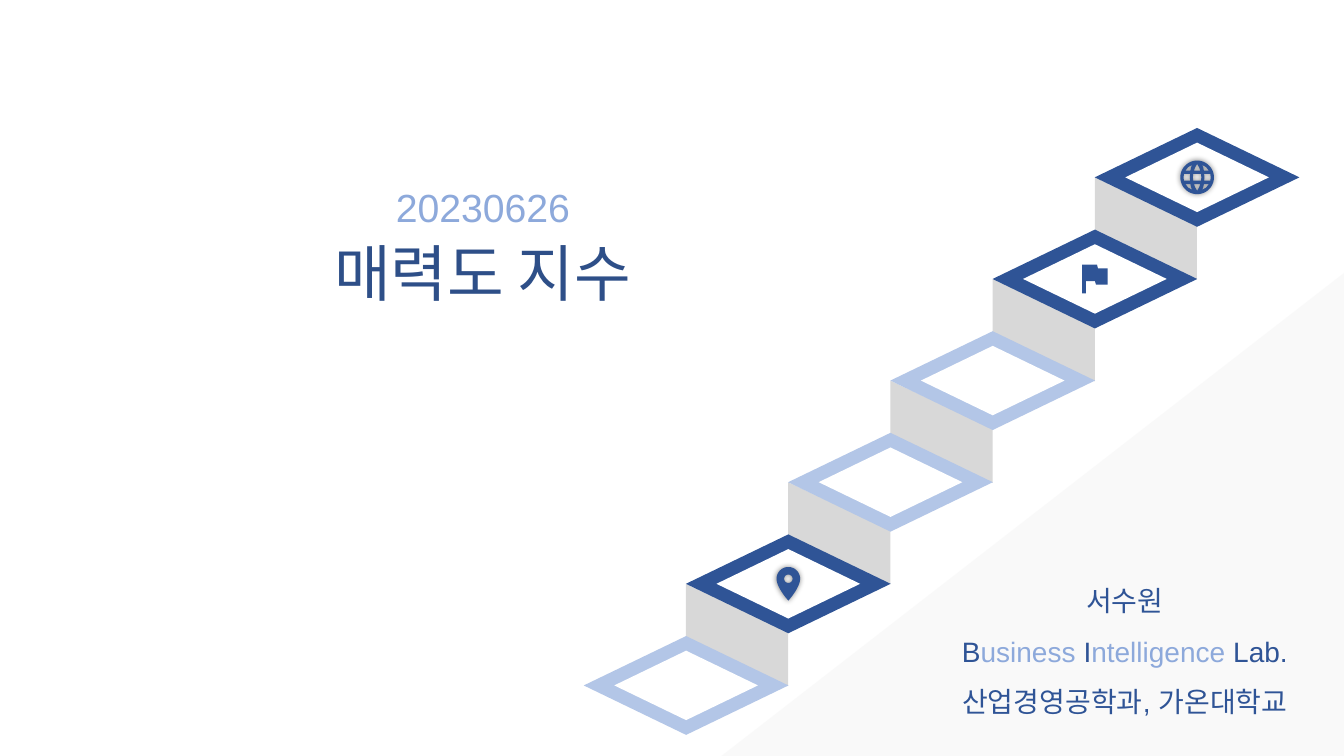
import math
from dataclasses import dataclass

from lxml import etree
from pptx import Presentation
from pptx.dml.color import RGBColor
from pptx.enum.shapes import MSO_SHAPE
from pptx.enum.text import MSO_ANCHOR, MSO_AUTO_SIZE, PP_ALIGN
from pptx.oxml.ns import qn
from pptx.util import Pt

DIAMOND = MSO_SHAPE.DIAMOND
PARALLELOGRAM = MSO_SHAPE.PARALLELOGRAM
RIGHT_TRIANGLE = MSO_SHAPE.RIGHT_TRIANGLE
MIDDLE = MSO_ANCHOR.MIDDLE
NO_AUTOFIT = MSO_AUTO_SIZE.NONE
CENTER = PP_ALIGN.CENTER


@dataclass(frozen=True)
class Theme:
    font: str = "Arial"
    dark: str = "2F5496"
    title: str = "2E4F88"
    accent: str = "8DA9DB"
    light: str = "B3C6E7"
    riser: str = "D8D8D8"
    corner: str = "F2F2F2"
    white: str = "FFFFFF"
    title_size: int = 44
    date_size: int = 28
    author_size: int = 20


THEME = Theme()


def set_attributes(target, values):
    for name, value in values.items():
        setattr(target, name, value)


def place(shape, box):
    names = ("left", "top", "width", "height")
    set_attributes(shape, dict(zip(names, map(Pt, box))))


def paint(shape, color):
    shape.shadow.inherit = False
    shape.fill.solid()
    shape.fill.fore_color.rgb = RGBColor.from_string(color)
    shape.line.fill.background()


def add_preset(slide, kind, box, color):
    shape = slide.shapes.add_shape(kind, *map(Pt, box))
    paint(shape, color)
    return shape


def add_outline(slide, box, contours):
    left, top = box[:2]
    placed = [[(Pt(left + x), Pt(top + y)) for x, y in contour] for contour in contours]
    builder = slide.shapes.build_freeform(*placed[0][0], scale=1.0)
    builder.add_line_segments(placed[0][1:], close=True)
    for contour in placed[1:]:
        builder.move_to(*contour[0])
        builder.add_line_segments(contour[1:], close=True)
    shape = builder.convert_to_shape()
    paint(shape, THEME.dark)
    return shape


def add_glow(shape):
    effects = shape._element.spPr.find(qn("a:effectLst"))
    shadow = etree.SubElement(effects, qn("a:outerShdw"), blurRad=str(Pt(4)), dist="0", dir="0")
    color = etree.SubElement(shadow, qn("a:srgbClr"), val="000000")
    etree.SubElement(color, qn("a:alpha"), val="45000")


def arc(center_x, center_y, radius, start=0, sweep=360, count=48):
    angles = [math.radians(start + sweep * step / count) for step in range(count + 1)]
    return [(center_x + radius * math.cos(a), center_y + radius * math.sin(a)) for a in angles]


def add_pin(slide, box):
    middle, height = box[2] / 2, box[3]
    steps = [step / 16 for step in range(1, 17)]
    side = [
        (middle * (1 + (1 - t) ** 3 + 3 * t * (1 - t) ** 2),
         middle * (1 - t) ** 3 + 14.7 * 3 * t * (1 - t) ** 2 + height * (3 * t * t - 2 * t ** 3))
        for t in steps
    ]
    mirrored = [(2 * middle - x, y) for x, y in reversed(side[:-1])]
    body = arc(middle, middle, middle, 180, 180) + side + mirrored
    add_glow(add_outline(slide, box, [body, arc(middle, middle, 3)]))


def add_globe(slide, box):
    radius = box[2] / 2

    def mirror(points, sign_x, sign_y):
        return [(radius + sign_x * x, radius + sign_y * y) for x, y in points]

    side = [(5, -2.4), (9.4, -2.4), (9.7, 0), (9.4, 2.4), (5, 2.4), (5.2, 0)]
    cap = [(0, -9.6), (1.4, -7.2), (2.3, -4.8), (-2.3, -4.8), (-1.4, -7.2)]
    quarter = [(4.8, -4.8), (8.4, -4.8), (6.4, -7.3), (3.6, -8.9), (4.4, -6.9)]
    window = [(-2.8, -2.4), (2.8, -2.4), (3, 0), (2.8, 2.4), (-2.8, 2.4), (-3, 0)]
    holes = [mirror(window, 1, 1)]
    for sign in (1, -1):
        holes += [mirror(side, sign, 1), mirror(cap, 1, sign)]
        holes += [mirror(quarter, sign, other) for other in (1, -1)]
    add_glow(add_outline(slide, box, [arc(radius, radius, radius)] + holes))


def add_flag(slide, box):
    width, height = box[2:]
    points = [(0, 0), (10.6, 0), (11.3, 2.8), (width, 2.8), (width, 14.4),
              (9.9, 14.4), (9.2, 11.9), (2.7, 11.9), (2.7, height), (0, height)]
    add_outline(slide, box, [points])


def add_staircase(slide, box):
    left, top, width, height = box
    tile_width, tile_height = 146.2, 70.6
    step_x, step_y = (width - tile_width) / 5, (height - tile_height) / 5
    inset_x, inset_y = 21.8, 10.5
    icons = {1: (add_pin, 16.8, 24), 4: (add_flag, 18.2, 20.6), 5: (add_globe, 24, 24)}
    tiles = [(left + step * step_x, top + height - tile_height - step * step_y) for step in range(6)]
    for x, y in tiles[:-1]:
        riser = add_preset(slide, PARALLELOGRAM, (x + step_x, y - 37.2, step_x, step_x), THEME.riser)
        riser.rotation = 270
        riser.adjustments[0] = 0.47
    for step, (x, y) in enumerate(tiles):
        frame_color = THEME.dark if step in icons else THEME.light
        add_preset(slide, DIAMOND, (x, y, tile_width, tile_height), frame_color)
        inner = (x + inset_x, y + inset_y, tile_width - 2 * inset_x, tile_height - 2 * inset_y)
        add_preset(slide, DIAMOND, inner, THEME.white)
        if step in icons:
            draw, icon_width, icon_height = icons[step]
            draw(slide, (x + (tile_width - icon_width) / 2,
                         y + (tile_height - icon_height) / 2, icon_width, icon_height))


def add_corner(slide, box):
    triangle = add_preset(slide, RIGHT_TRIANGLE, box, THEME.corner)
    triangle._element.spPr.find(qn("a:xfrm")).set("flipH", "1")
    color = triangle._element.spPr.find(qn("a:solidFill")).find(qn("a:srgbClr"))
    etree.SubElement(color, qn("a:alpha"), val="40000")


def write_text(shape, box, lines, size, line_spacing=1.0):
    place(shape, box)
    frame = shape.text_frame
    margins = dict.fromkeys(("margin_left", "margin_top", "margin_right", "margin_bottom"), 0)
    set_attributes(frame, {**margins, "word_wrap": True, "auto_size": NO_AUTOFIT,
                           "vertical_anchor": MIDDLE})
    for index, line in enumerate(lines):
        paragraph = frame.add_paragraph() if index else frame.paragraphs[0]
        set_attributes(paragraph, {"alignment": CENTER, "line_spacing": line_spacing,
                                   "space_before": Pt(0)})
        for text, color in line:
            run = paragraph.add_run()
            run.text = text
            set_attributes(run.font, {"name": THEME.font, "size": Pt(size), "bold": False})
            run.font.color.rgb = RGBColor.from_string(color)


def bring_to_front(shape):
    shape._element.getparent().append(shape._element)


def add_heading(slide, box):
    left, top, width, height = box
    title = slide.shapes.title
    bring_to_front(title)
    write_text(title, (left, top + height - 53.3, width, 53.3),
               [[("매력도 지수", THEME.title)]], THEME.title_size)
    date_box = (left, top, width, 33.8)
    date = slide.shapes.add_textbox(*map(Pt, date_box))
    write_text(date, date_box, [[("20230626", THEME.accent)]], THEME.date_size)


def add_author(slide, box):
    author = slide.placeholders[1]
    bring_to_front(author)
    lines = [
        [("서수원", THEME.dark)],
        [("B", THEME.dark), ("usiness ", THEME.accent), ("I", THEME.dark),
         ("ntelligence ", THEME.accent), ("Lab.", THEME.dark)],
        [("산업경영공학과, 가온대학교", THEME.dark)],
    ]
    write_text(author, box, lines, THEME.author_size, 1.5)


def build_cover(presentation):
    slide = presentation.slides.add_slide(presentation.slide_layouts[0])
    add_corner(slide, (515.3, 195, 444.7, 345))
    add_staircase(slide, (417, 91.4, 511.2, 433.5))
    add_heading(slide, (32.4, 131, 625, 90))
    add_author(slide, (671, 404.6, 265, 108.7))


presentation = Presentation()
set_attributes(presentation, {"slide_width": Pt(960), "slide_height": Pt(540)})
build_cover(presentation)
presentation.save("out.pptx")
